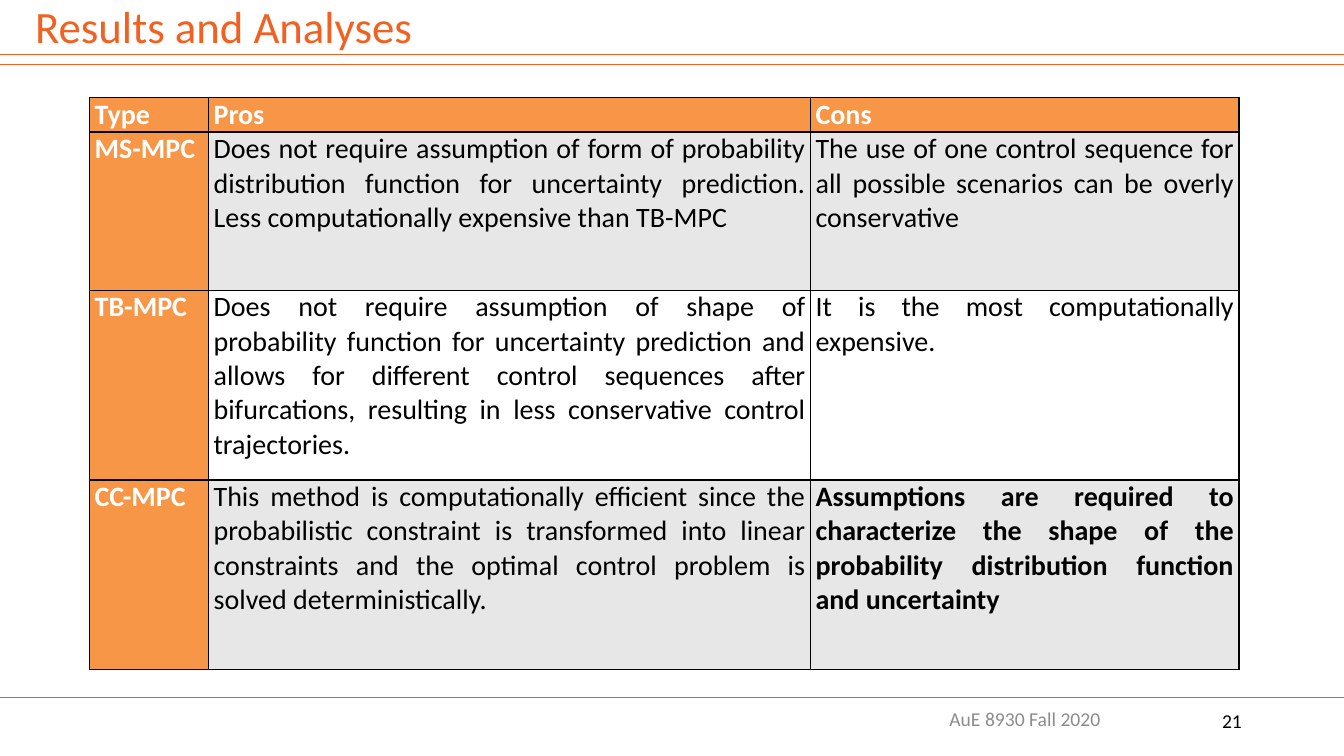
from dataclasses import dataclass

from lxml import etree
from pptx import Presentation
from pptx.dml.color import RGBColor
from pptx.enum import shapes, text
from pptx.oxml import ns
from pptx.util import Pt

COLOURS = {
    "accent": "F16122",
    "header": "F79646",
    "band": "E7E7E7",
    "white": "FFFFFF",
    "black": "000000",
    "footer": "8C8C8C",
    "footer_rule": "808080",
}
FONT = "Calibri"
PAGE_WIDTH, PAGE_HEIGHT = 960, 540
COLUMN_WIDTHS = [85, 430, 306]
ROW_HEIGHTS = [24.5, 113, 135.5, 135.5]


@dataclass
class Rule:
    top: float
    colour: str


@dataclass
class Label:
    words: str
    left: float
    top: float
    width: float
    height: float
    size: float
    colour: str
    align: text.PP_ALIGN
    anchor: text.MSO_ANCHOR
    spacing: float = 1.0


@dataclass
class Method:
    name: str
    pros: str
    cons: str
    bold_cons: bool = False


RULES = [Rule(46, "accent"), Rule(38.8, "accent"), Rule(498.2, "footer_rule")]
LABELS = [
    Label("21", 678.2, 500.5, 216, 28.8, 14, "black",
          text.PP_ALIGN.RIGHT, text.MSO_ANCHOR.MIDDLE),
    Label("Results and Analyses", 18, 0, 666, 47.5, 32, "accent",
          text.PP_ALIGN.LEFT, text.MSO_ANCHOR.TOP, 0.9),
    Label("AuE 8930 Fall 2020", 570.2, 499, 324, 28.8, 14, "footer",
          text.PP_ALIGN.CENTER, text.MSO_ANCHOR.MIDDLE),
]
METHODS = [
    Method("Type", "Pros", "Cons"),
    Method(
        "MS-MPC",
        "Does not require assumption of form of probability distribution function "
        "for uncertainty prediction. Less computationally expensive than TB-MPC",
        "The use of one control sequence for all possible scenarios can be overly "
        "conservative",
    ),
    Method(
        "TB-MPC",
        "Does not require assumption of shape of probability function for "
        "uncertainty prediction and allows for different control sequences after "
        "bifurcations, resulting in less conservative control trajectories.",
        "It is the most computationally expensive.",
    ),
    Method(
        "CC-MPC",
        "This method is computationally efficient since the probabilistic "
        "constraint is transformed into linear constraints and the optimal control "
        "problem is solved deterministically.",
        "Assumptions are required to characterize the shape of the probability "
        "distribution function and uncertainty",
        True,
    ),
]


def rgb(colour: str) -> RGBColor:
    return RGBColor.from_string(COLOURS[colour])


def write(frame, words: str, size: float, colour: str,
          align: text.PP_ALIGN, bold: bool = False) -> None:
    frame.text = words
    para = frame.paragraphs[0]
    para.alignment = align
    font = para.runs[0].font
    font.name, font.size, font.bold = FONT, Pt(size), bold
    font.color.rgb = rgb(colour)


def draw_rule(page, rule: Rule) -> None:
    line = page.shapes.add_connector(
        shapes.MSO_CONNECTOR.STRAIGHT, 0, Pt(rule.top), Pt(PAGE_WIDTH), Pt(rule.top))
    line.line.color.rgb = rgb(rule.colour)
    line.line.width = Pt(0.75)
    etree.SubElement(line._element.spPr, ns.qn("a:effectLst"))


def draw_label(page, label: Label) -> None:
    box = page.shapes.add_textbox(
        Pt(label.left), Pt(label.top), Pt(label.width), Pt(label.height))
    frame = box.text_frame
    frame.word_wrap = True
    frame.vertical_anchor = label.anchor
    write(frame, label.words, label.size, label.colour, label.align)
    frame.paragraphs[0].line_spacing = label.spacing


def add_borders(cell) -> None:
    properties = cell._tc.get_or_add_tcPr()
    for side in ("lnL", "lnR", "lnT", "lnB"):
        border = etree.SubElement(properties, ns.qn(f"a:{side}"), w=str(Pt(1)))
        fill = etree.SubElement(border, ns.qn("a:solidFill"))
        etree.SubElement(fill, ns.qn("a:srgbClr"), val=COLOURS["black"])


def draw_cell(cell, words: str, fill: str, colour: str, bold: bool) -> None:
    cell.margin_left = cell.margin_right = Pt(3.6)
    cell.margin_top = cell.margin_bottom = 0
    add_borders(cell)
    cell.fill.solid()
    cell.fill.fore_color.rgb = rgb(fill)
    write(cell.text_frame, words, 20, colour, text.PP_ALIGN.JUSTIFY, bold)


def draw_comparison(page, methods: list[Method]) -> None:
    table = page.shapes.add_table(
        len(methods), len(COLUMN_WIDTHS), Pt(64), Pt(69.8),
        Pt(sum(COLUMN_WIDTHS)), Pt(sum(ROW_HEIGHTS))).table
    for column, width in zip(table.columns, COLUMN_WIDTHS):
        column.width = Pt(width)
    for row, height in zip(table.rows, ROW_HEIGHTS):
        row.height = Pt(height)
    for i, method in enumerate(methods):
        for j, words in enumerate((method.name, method.pros, method.cons)):
            heading = i == 0 or j == 0
            fill = "header" if heading else "band" if i % 2 else "white"
            colour = "white" if heading else "black"
            bold = heading or (j == 2 and method.bold_cons)
            draw_cell(table.cell(i, j), words, fill, colour, bold)


deck = Presentation()
deck.slide_width, deck.slide_height = Pt(PAGE_WIDTH), Pt(PAGE_HEIGHT)
page = deck.slides.add_slide(deck.slide_layouts[6])
for rule in RULES:
    draw_rule(page, rule)
draw_comparison(page, METHODS)
for label in LABELS:
    draw_label(page, label)
deck.save("out.pptx")
